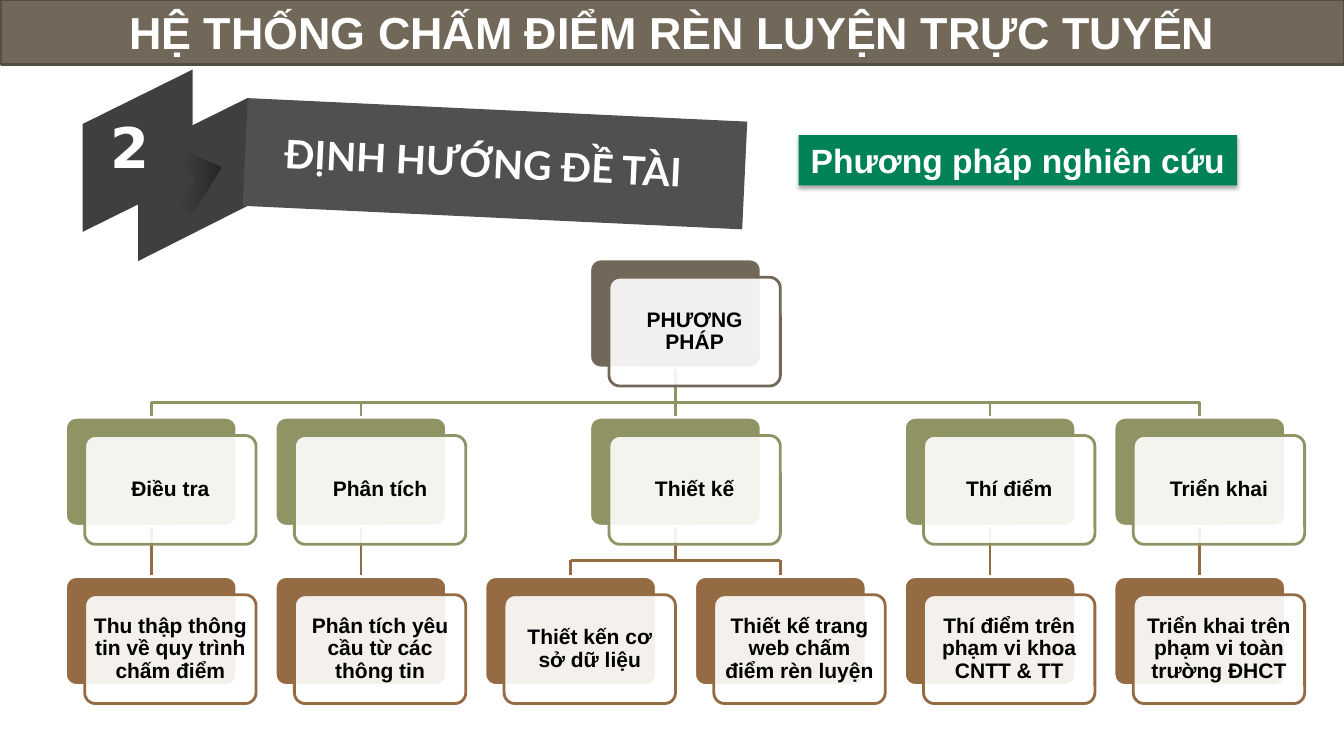
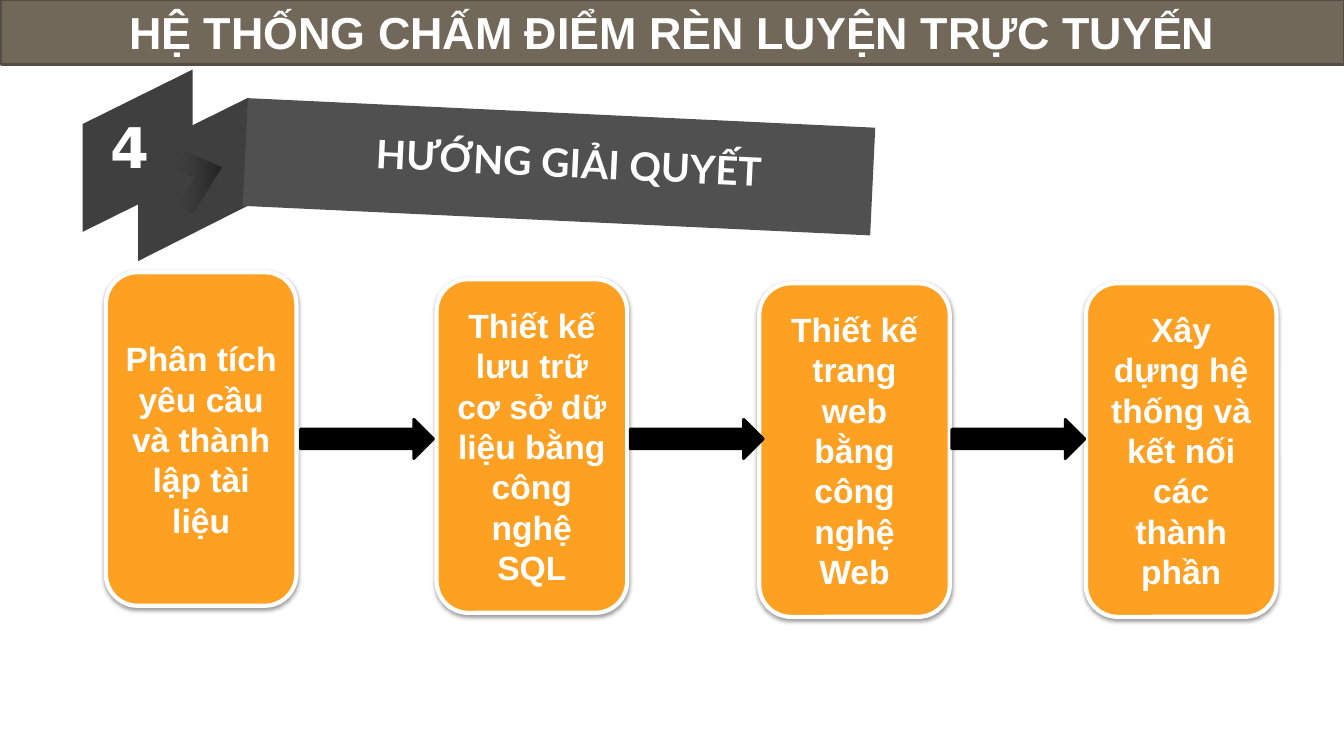
"""Build two slides on the method and the solution of an online scoring system."""
from dataclasses import dataclass

from pptx import Presentation
from pptx.dml.color import RGBColor
from pptx.enum.shapes import MSO_CONNECTOR as CONN, MSO_SHAPE as SHAPE
from pptx.enum.text import MSO_ANCHOR as ANCHOR, PP_ALIGN as ALIGN
from pptx.oxml import parse_xml
from pptx.oxml.ns import nsdecls, qn
from pptx.util import Pt

PX = 9144


@dataclass(frozen=True)
class Theme:
    """Colours, fonts and type sizes of the deck."""
    white: str = "FFFFFF"
    black: str = "000000"
    band: str = "71685A"
    band_edge: str = "544D43"
    fold: str = "3F3F3F"
    fold_mid: str = "353535"
    fold_dark: str = "252525"
    ribbon: str = "505050"
    tag: str = "008257"
    step: str = "FEA022"
    levels: tuple = ("71685A", "909465", "956B43")
    font: str = "Arial"
    ribbon_font: str = "Lato"
    number_font: str = "DejaVu Sans"
    title_size: int = 32
    number_size: int = 40
    ribbon_size: int = 28
    body_size: int = 24
    card_size: int = 15


T = Theme()

TITLE = "HỆ THỐNG CHẤM ĐIỂM RÈN LUYỆN TRỰC TUYẾN"
BACK_FOLD = [(246, 204), (246, 97), (137, 151), (137, 259)]
FRONT_FOLD = [(191, 176), (191, 69), (82, 123), (82, 230)]
CHEVRON = [(174, 166), (185, 151), (220, 166), (191, 212), (177, 203), (194, 176)]

METHODS = ("PHƯƠNG PHÁP", [
    ("Điều tra", [("Thu thập thông tin về quy trình chấm điểm", [])]),
    ("Phân tích", [("Phân tích yêu cầu từ các thông tin", [])]),
    ("Thiết kế", [("Thiết kến cơ sở dữ liệu", []),
                  ("Thiết kế trang web chấm điểm rèn luyện", [])]),
    ("Thí điểm", [("Thí điểm trên phạm vi khoa CNTT & TT", [])]),
    ("Triển khai", [("Triển khai trên phạm vi toàn trường ĐHCT", [])]),
])
TREE_LEFT, COLUMN_PITCH = 65, 208
ROW_TOPS = (257, 414, 572)
CARD_W, CARD_H = 170, 108
FRONT_DX, FRONT_DY = 19, 18
BUS_DROP = 34

STEPS = [
    (105, 270, "Phân tích yêu cầu và thành lập tài liệu"),
    (433, 277, "Thiết kế lưu trữ cơ sở dữ liệu bằng công nghệ SQL"),
    (753, 281, "Thiết kế trang web bằng công nghệ Web"),
    (1077, 281, "Xây dựng hệ thống và kết nối các thành phần"),
]
STEP_W, STEP_H = 189, 331
ARROW_LEFTS = (298, 625, 944)
ARROW_TOP, ARROW_W, ARROW_H = 416, 132, 39


def paint(sp, fill, line=None, width=2):
    """Set the fill and outline of a shape and remove its shadow."""
    sp.shadow.inherit = False
    sp.fill.solid()
    sp.fill.fore_color.rgb = RGBColor.from_string(fill)
    if line:
        sp.line.color.rgb = RGBColor.from_string(line)
        sp.line.width = Pt(width)
    else:
        sp.line.fill.background()


def add_box(slide, kind, box, fill, line=None, width=2):
    """Add a painted preset shape at a px box."""
    sp = slide.shapes.add_shape(kind, *(v * PX for v in box))
    paint(sp, fill, line, width)
    return sp


def add_outline(slide, points, fill):
    """Add a closed polygon through px points."""
    builder = slide.shapes.build_freeform(*points[0], scale=PX)
    builder.add_line_segments(points[1:], close=True)
    sp = builder.convert_to_shape()
    paint(sp, fill)
    return sp


def add_line(slide, x1, y1, x2, y2, color):
    """Add a straight connector between two px points."""
    line = slide.shapes.add_connector(CONN.STRAIGHT, *(round(v * PX) for v in (x1, y1, x2, y2)))
    line.line.color.rgb = RGBColor.from_string(color)
    line.line.width = Pt(2)
    line._element.spPr.append(parse_xml(f"<a:effectLst {nsdecls('a')}/>"))


def write(sp, text, size, color=T.white, font=T.font, anchor=ANCHOR.TOP,
          align=ALIGN.CENTER, spacing=None, wrap=True):
    """Write one bold paragraph into a shape."""
    tf = sp.text_frame
    tf.text = text
    tf.word_wrap = wrap
    tf.vertical_anchor = anchor
    p = tf.paragraphs[0]
    p.alignment = align
    p.line_spacing = spacing
    f = p.runs[0].font
    f.name, f.size, f.bold = font, Pt(size), True
    f.color.rgb = RGBColor.from_string(color)


def add_text(slide, box, text, size, **style):
    """Add a text box at a px box."""
    sp = slide.shapes.add_textbox(*(v * PX for v in box))
    write(sp, text, size, **style)
    return sp


def cast_shadow(sp, opacity, distance):
    """Give a shape a soft shadow that falls straight down."""
    sp._element.spPr.find(qn("a:effectLst")).append(parse_xml(
        f'<a:outerShdw {nsdecls("a")} blurRad="{Pt(3.1)}" dist="{Pt(distance)}" '
        f'dir="5400000" rotWithShape="0"><a:srgbClr val="{T.black}">'
        f'<a:alpha val="{opacity * 1000}"/></a:srgbClr></a:outerShdw>'))


def set_opacity(sp, percent):
    """Make the solid fill of a shape partly transparent."""
    color = sp._element.spPr.find(qn("a:solidFill")).find(qn("a:srgbClr"))
    color.append(parse_xml(f'<a:alpha {nsdecls("a")} val="{percent * 1000}"/>'))


def fade_left(sp):
    """Replace a solid fill by a gradient that fades out to the left."""
    stops = "".join(
        f'<a:gs pos="{pos * 1000}"><a:srgbClr val="{color}">'
        f'<a:alpha val="{opacity * 1000}"/></a:srgbClr></a:gs>'
        for pos, color, opacity in
        ((0, T.fold_dark, 100), (50, T.fold_mid, 90), (100, T.fold, 0)))
    spPr = sp._element.spPr
    spPr.replace(spPr.find(qn("a:solidFill")), parse_xml(
        f'<a:gradFill {nsdecls("a")} rotWithShape="1"><a:gsLst>{stops}</a:gsLst>'
        f'<a:lin ang="10800000" scaled="0"/></a:gradFill>'))


def add_header(slide, number, heading, ribbon_box, heading_left):
    """Add the title band and the folded ribbon with its number and heading."""
    band = add_box(slide, SHAPE.RECTANGLE, (1, 0, 1332, 64), T.band, T.band_edge)
    write(band, TITLE, T.title_size)
    add_outline(slide, BACK_FOLD, T.fold)
    ribbon = add_box(slide, SHAPE.RECTANGLE, ribbon_box, T.ribbon)
    ribbon.rotation = 2.7
    add_outline(slide, FRONT_FOLD, T.fold)
    fade_left(add_outline(slide, CHEVRON, T.fold))
    label = add_text(slide, (heading_left, 138, 602, 53), heading, T.ribbon_size,
                     font=T.ribbon_font, spacing=0.9)
    label.rotation = 2.8
    add_text(slide, (100, 107, 60, 77), number, T.number_size,
             font=T.number_font, align=ALIGN.LEFT, wrap=False)


def place_nodes(node, level=0, first=0):
    """Return a node as (text, level, column, children) and its leaf count."""
    text, branches = node
    if not branches:
        return (text, level, first, []), 1
    children, leaves = [], 0
    for branch in branches:
        child, count = place_nodes(branch, level + 1, first + leaves)
        children.append(child)
        leaves += count
    column = (children[0][2] + children[-1][2]) / 2
    return (text, level, column, children), leaves


def column_left(column):
    """Return the px left edge of a tree column."""
    return round(TREE_LEFT + COLUMN_PITCH * column)


def add_links(slide, node):
    """Draw the trunk, bus and stems below a node and its descendants."""
    _, level, column, children = node
    if not children:
        return
    color = T.levels[level + 1]
    bottom = ROW_TOPS[level] + CARD_H
    bus = bottom + BUS_DROP
    center = column_left(column) + CARD_W // 2
    stems = [column_left(child[2]) + CARD_W // 2 for child in children]
    add_line(slide, center, bottom, center, bus, color)
    if len(stems) > 1:
        add_line(slide, stems[0], bus, stems[-1], bus, color)
    for x, child in zip(stems, children):
        add_line(slide, x, bus, x, ROW_TOPS[level + 1], color)
        add_links(slide, child)


def add_cards(slide, node):
    """Draw the doubled card of a node and of its descendants."""
    text, level, column, children = node
    x, y, color = column_left(column), ROW_TOPS[level], T.levels[level]
    back = add_box(slide, SHAPE.ROUNDED_RECTANGLE, (x, y, CARD_W, CARD_H), color, T.white)
    front = add_box(slide, SHAPE.ROUNDED_RECTANGLE,
                    (x + FRONT_DX, y + FRONT_DY, CARD_W, CARD_H), T.white, color)
    for sp in (back, front):
        sp.adjustments[0] = 0.1
    set_opacity(front, 90)
    write(front, text, T.card_size, color=T.black, anchor=ANCHOR.MIDDLE, spacing=0.9)
    tf = front.text_frame
    tf.margin_left = tf.margin_right = tf.margin_top = tf.margin_bottom = 6 * PX
    for child in children:
        add_cards(slide, child)


def build_methods(slide):
    """Build the slide with the tree of research methods."""
    add_header(slide, "2", "ĐỊNH HƯỚNG ĐỀ TÀI", (243, 109, 496, 107), 178)
    tag = add_box(slide, SHAPE.RECTANGLE, (792, 134, 435, 50), T.tag)
    cast_shadow(tag, 35, 1.8)
    write(tag, "Phương pháp nghiên cứu", T.body_size)
    root, _ = place_nodes(METHODS)
    add_links(slide, root)
    add_cards(slide, root)


def build_solution(slide):
    """Build the slide with the four steps of the solution."""
    add_header(slide, "4", "HƯỚNG GIẢI QUYẾT", (243, 112, 623, 107), 263)
    for x, y, text in STEPS:
        step = add_box(slide, SHAPE.ROUNDED_RECTANGLE, (x, y, STEP_W, STEP_H),
                       T.step, T.white, 3)
        cast_shadow(step, 38, 1.6)
        write(step, text, T.body_size, anchor=ANCHOR.MIDDLE)
    for x in ARROW_LEFTS:
        add_box(slide, SHAPE.RIGHT_ARROW, (x, ARROW_TOP, ARROW_W, ARROW_H), T.black, T.black)


def main():
    """Build and save the deck."""
    prs = Presentation()
    prs.slide_width, prs.slide_height = 1333 * PX, 750 * PX
    for build in (build_methods, build_solution):
        build(prs.slides.add_slide(prs.slide_layouts[6]))
    prs.save("out.pptx")


if __name__ == "__main__":
    main()
